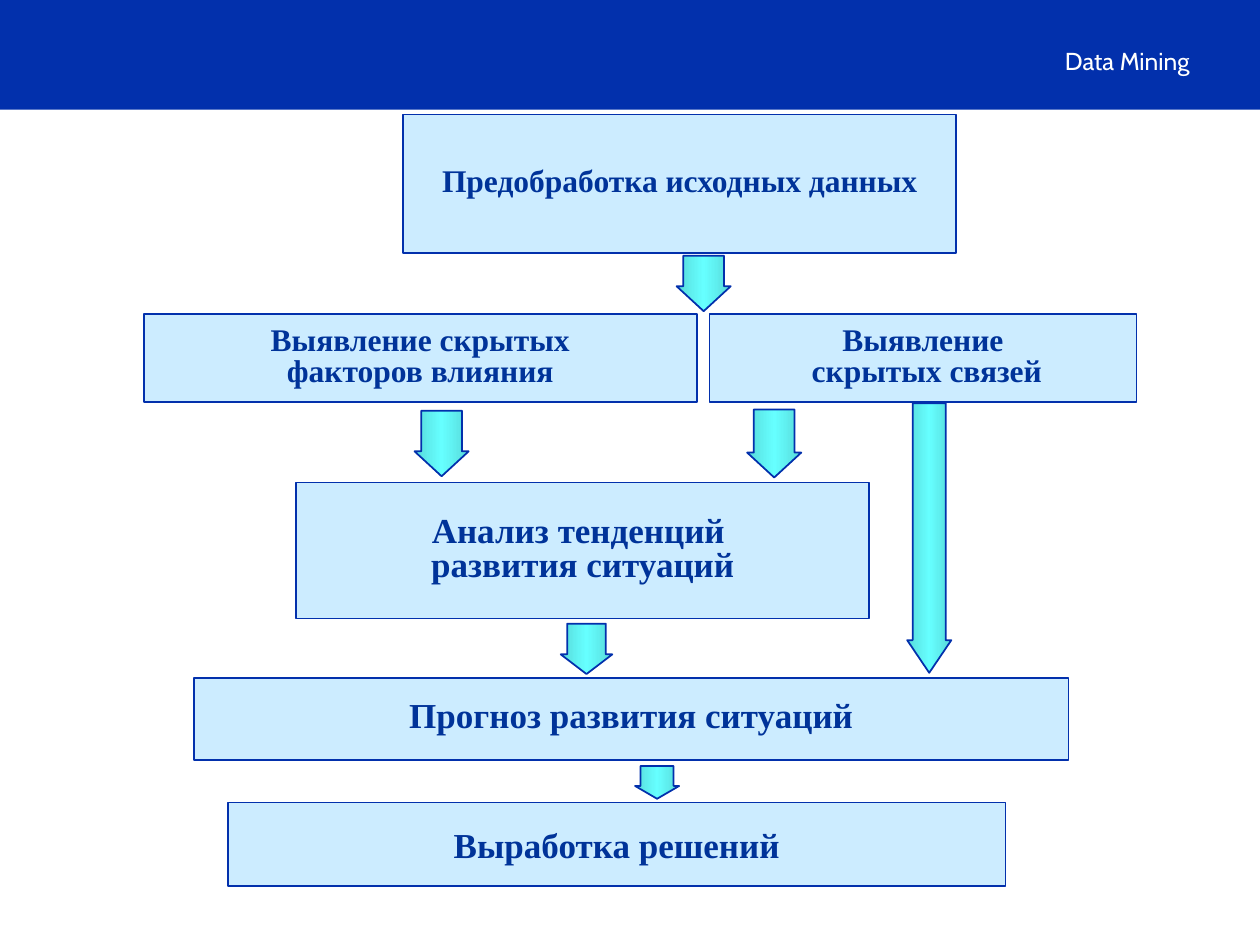
"""Build the Data Mining flow slide on a grid of 100 columns by 75 rows."""
import lxml.etree
import pptx
import pptx.dml.color
import pptx.enum.shapes
import pptx.enum.text
import pptx.oxml.ns
import pptx.util

HUE = {"band": "0230AC", "box": "CCECFF", "text": "003399",
       "edge": "57DADA", "glow": "66FFFF", "white": "FFFFFF"}
KIND = pptx.enum.shapes.MSO_SHAPE
ALIGN = pptx.enum.text.PP_ALIGN
RGB = pptx.dml.color.RGBColor.from_string

deck = pptx.Presentation()
deck.slide_width = pptx.util.Inches(10)
deck.slide_height = pptx.util.Inches(7.5)
cell = deck.slide_width / 100
slide = deck.slides.add_slide(deck.slide_layouts[6])


def draw(kind, area, fill):
    shape = slide.shapes.add_shape(kind, *[round(n * cell) for n in area])
    shape.shadow.inherit = False
    shape.fill.solid()
    shape.fill.fore_color.rgb = RGB(HUE[fill])
    shape.line.color.rgb = RGB(HUE["band"])
    shape.line.width = pptx.util.Pt(1)
    return shape


def write(shape, lines, size, face, tint, align, space=None):
    frame = shape.text_frame
    frame.word_wrap = False
    frame.vertical_anchor = pptx.enum.text.MSO_ANCHOR.MIDDLE
    frame.text = "\n".join(lines)
    for para in frame.paragraphs:
        para.alignment = align
        para.line_spacing = space
        para.font.name = face
        para.font.size = pptx.util.Pt(size)
        para.font.bold = tint == "text"
        para.font.color.rgb = RGB(HUE[tint])


band = draw(KIND.RECTANGLE, (0, 0, 100, 8.7), "band")
band.line.fill.background()
title = slide.shapes.add_textbox(*[round(n * cell) for n in (44.5, 2.8, 50.9, 4)])
write(title, ["Data Mining"], 14, "Cabin", "white", ALIGN.RIGHT)

steps = [
    ((32, 9.1, 43.9, 11), 18, 0.8, ["Предобработка исходных данных"]),
    ((11.4, 24.9, 43.9, 7), 18, 0.8, ["Выявление скрытых", "факторов влияния"]),
    ((56.3, 24.9, 33.9, 7), 18, 0.8, ["Выявление", " скрытых связей"]),
    ((23.5, 38.3, 45.5, 10.8), 20, 0.8, ["Анализ тенденций ", "развития ситуаций"]),
    ((15.4, 53.8, 69.4, 6.5), 20, 0.8, ["Прогноз развития ситуаций"]),
    ((18.1, 63.7, 61.7, 6.6), 20, None, ["Выработка решений"]),
]
for area, size, space, lines in steps:
    box = draw(KIND.RECTANGLE, area, "box")
    write(box, lines, size, "Times New Roman", "text", ALIGN.CENTER, space)

arrows = [
    ((53.7, 20.3, 4.3, 4.4), 0.46),
    ((32.9, 32.6, 4.3, 5.2), 0.46),
    ((59.3, 32.5, 4.3, 5.4), 0.46),
    ((72, 32, 3.5, 21.4), 0.74),
    ((44.5, 49.5, 4.1, 4), 0.39),
    ((50.4, 60.8, 3.5, 2.6), 0.39),
]
qn = pptx.oxml.ns.qn
for area, head in arrows:
    arrow = draw(KIND.DOWN_ARROW, area, "glow")
    arrow.adjustments[0] = 0.75
    arrow.adjustments[1] = head
    arrow.fill.gradient()
    arrow.fill.gradient_angle = 0
    stops = arrow.element.spPr.find(".//" + qn("a:gsLst"))
    for old in list(stops):
        stops.remove(old)
    for place, name in ((0, "edge"), (50, "glow"), (100, "edge")):
        stop = lxml.etree.SubElement(stops, qn("a:gs"), pos=str(place * 1000))
        lxml.etree.SubElement(stop, qn("a:srgbClr"), val=HUE[name])

deck.save("out.pptx")
